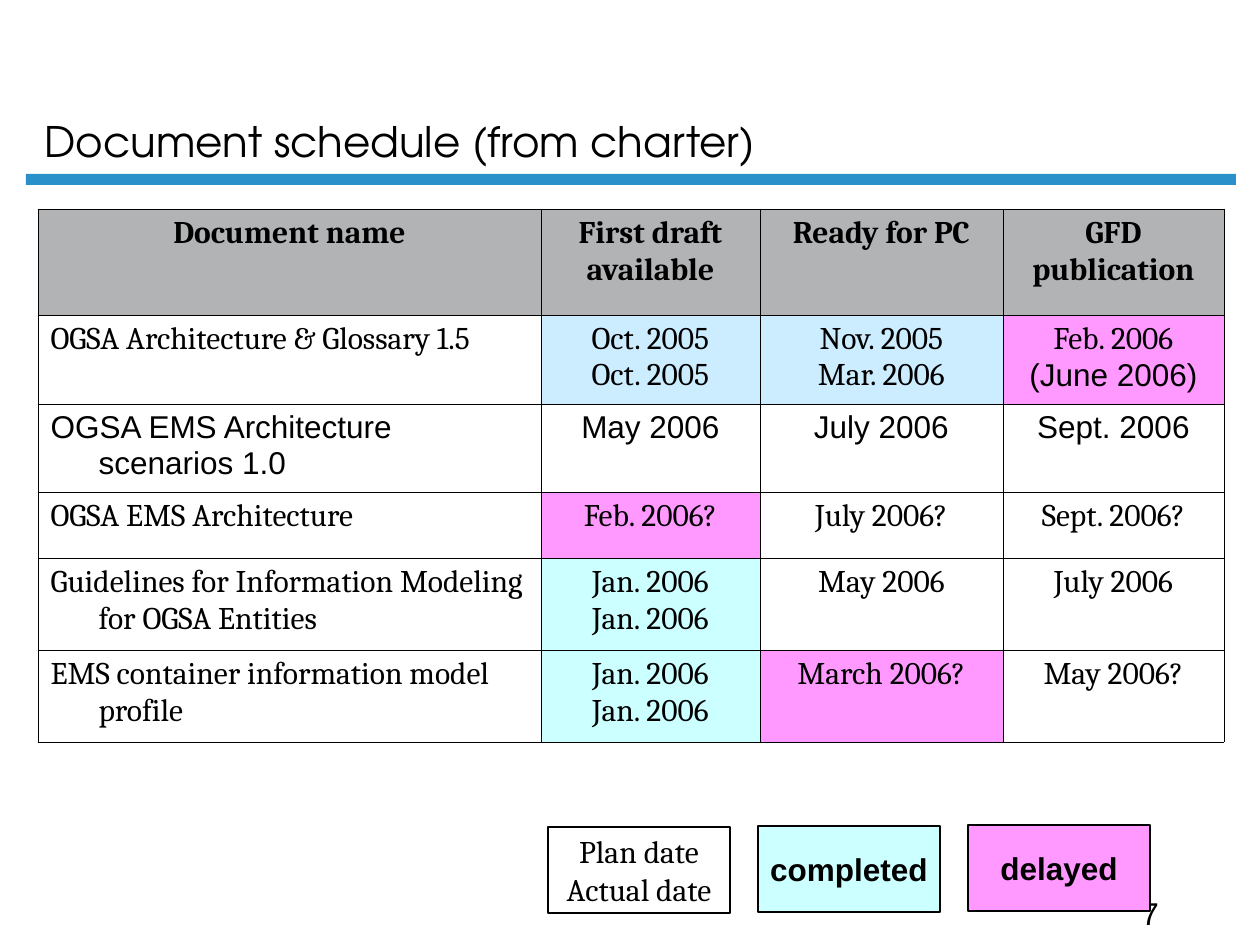
from lxml.etree import SubElement
from pptx import Presentation
from pptx.dml.color import RGBColor
from pptx.enum.shapes import MSO_SHAPE as Shape
from pptx.enum.text import MSO_ANCHOR as Anchor, MSO_AUTO_SIZE as AutoSize, PP_ALIGN as Align
from pptx.oxml.ns import qn
from pptx.util import Emu, Pt

PX_PER_INCH = 126
BLACK, GREY, BLUE = "000000", "B2B3B5", "2990CA"
PALE_BLUE, COMPLETED, DELAYED = "CCECFF", "CCFFFF", "FF99FF"
SERIF, SANS, DISPLAY = "Cambria", "Arial", "TeX Gyre Adventor"

COLUMN_WIDTHS = [503, 219, 243, 221]
ROW_HEIGHTS = [106, 89, 88, 66, 92, 92]
HANGING = 48

# Each row: cells as (lines, fill)
SCHEDULE = [
    [("Document name", GREY), ("First draft\navailable", GREY),
     ("Ready for PC", GREY), ("GFD\npublication", GREY)],
    [("OGSA Architecture & Glossary 1.5", None), ("Oct. 2005\nOct. 2005", PALE_BLUE),
     ("Nov. 2005\nMar. 2006", PALE_BLUE), ("Feb. 2006\n(June 2006)", DELAYED)],
    [("OGSA EMS Architecture scenarios 1.0", None), ("May 2006", None),
     ("July 2006", None), ("Sept. 2006", None)],
    [("OGSA EMS Architecture", None), ("Feb. 2006?", DELAYED),
     ("July 2006?", None), ("Sept. 2006?", None)],
    [("Guidelines for Information Modeling for OGSA Entities", None),
     ("Jan. 2006\nJan. 2006", COMPLETED), ("May 2006", None), ("July 2006", None)],
    [("EMS container information model profile", None),
     ("Jan. 2006\nJan. 2006", COMPLETED), ("March 2006?", DELAYED), ("May 2006?", None)],
]
SANS_ROW = 2

LEGEND = [
    ("Plan date\nActual date", 548, 827, None, SERIF, False),
    ("completed", 758, 826, COMPLETED, SANS, True),
    ("delayed", 968, 825, DELAYED, SANS, True),
]


def px(length):
    return Emu(round(length * 914400 / PX_PER_INCH))


def colour(code):
    return RGBColor.from_string(code)


def set_fill(fill, code):
    if code is None:
        fill.background()
    else:
        fill.solid()
        fill.fore_color.rgb = colour(code)


def write(frame, text, font=SERIF, size=18, bold=False, align=Align.LEFT, hanging=0):
    """Write one paragraph for each line of the text."""
    for number, line in enumerate(text.split("\n")):
        para = frame.add_paragraph() if number else frame.paragraphs[0]
        para.alignment = align
        if hanging:
            properties = para._p.get_or_add_pPr()
            properties.set("marL", str(px(hanging)))
            properties.set("indent", str(-px(hanging)))
        span = para.add_run()
        span.text = line
        # Dates in brackets are estimates, set in sans
        span.font.name = SANS if line.startswith("(") else font
        span.font.size = Pt(size)
        span.font.bold = bold
        span.font.color.rgb = colour(BLACK)


def add_box(page, left, top, width, height, fill=None, line=None):
    box = page.shapes.add_shape(Shape.RECTANGLE, px(left), px(top), px(width), px(height))
    box.shadow.inherit = False
    set_fill(box.fill, fill)
    set_fill(box.line.fill, line)
    if line:
        box.line.width = Pt(0.75)
    return box


def add_borders(cell):
    properties = cell._tc.get_or_add_tcPr()
    for position, side in enumerate(("a:lnL", "a:lnR", "a:lnT", "a:lnB")):
        border = properties.makeelement(qn(side), {"w": str(Pt(0.45))})
        properties.insert(position, border)
        solid = SubElement(border, qn("a:solidFill"))
        SubElement(solid, qn("a:srgbClr"), val=BLACK)


def add_title(page, text):
    title = page.shapes.title
    title.left, title.top, title.width, title.height = px(32), px(15), px(1079), px(157)
    frame = title.text_frame
    frame.auto_size = AutoSize.NONE
    frame.vertical_anchor = Anchor.BOTTOM
    write(frame, text, font=DISPLAY, size=24)


def add_page_number(page, text):
    box = page.shapes.add_textbox(px(1129), px(888), px(169), px(51))
    box.text_frame.word_wrap = True
    write(box.text_frame, text, font=SANS)


def add_schedule(page, left, top):
    frame = page.shapes.add_table(len(SCHEDULE), len(COLUMN_WIDTHS), px(left), px(top),
                                  px(sum(COLUMN_WIDTHS)), px(sum(ROW_HEIGHTS)))
    table = frame.table
    table.first_row = table.horz_banding = False
    for column, width in zip(table.columns, COLUMN_WIDTHS):
        column.width = px(width)
    for row, height in zip(table.rows, ROW_HEIGHTS):
        row.height = px(height)
    for r, entries in enumerate(SCHEDULE):
        for c, (text, fill) in enumerate(entries):
            cell = table.cell(r, c)
            set_fill(cell.fill, fill)
            add_borders(cell)
            write(cell.text_frame, text, font=SANS if r == SANS_ROW else SERIF,
                  bold=r == 0, hanging=HANGING,
                  align=Align.LEFT if r and c == 0 else Align.CENTER)


def add_legend(page):
    for text, left, top, fill, font, bold in LEGEND:
        box = add_box(page, left, top, 182, 86, fill=fill, line=BLACK)
        box.text_frame.word_wrap = False
        box.text_frame.vertical_anchor = Anchor.MIDDLE
        write(box.text_frame, text, font=font, bold=bold, align=Align.CENTER)


def main():
    deck = Presentation()
    deck.slide_width, deck.slide_height = px(1260), px(945)
    page = deck.slides.add_slide(deck.slide_layouts[5])

    # Heading and rule
    add_box(page, 26, 174, 1210, 11, fill=BLUE)
    add_page_number(page, "7")
    add_title(page, "Document schedule (from charter)")

    # Schedule and its colour key
    add_schedule(page, 38, 209)
    add_legend(page)

    deck.save("out.pptx")


if __name__ == "__main__":
    main()
